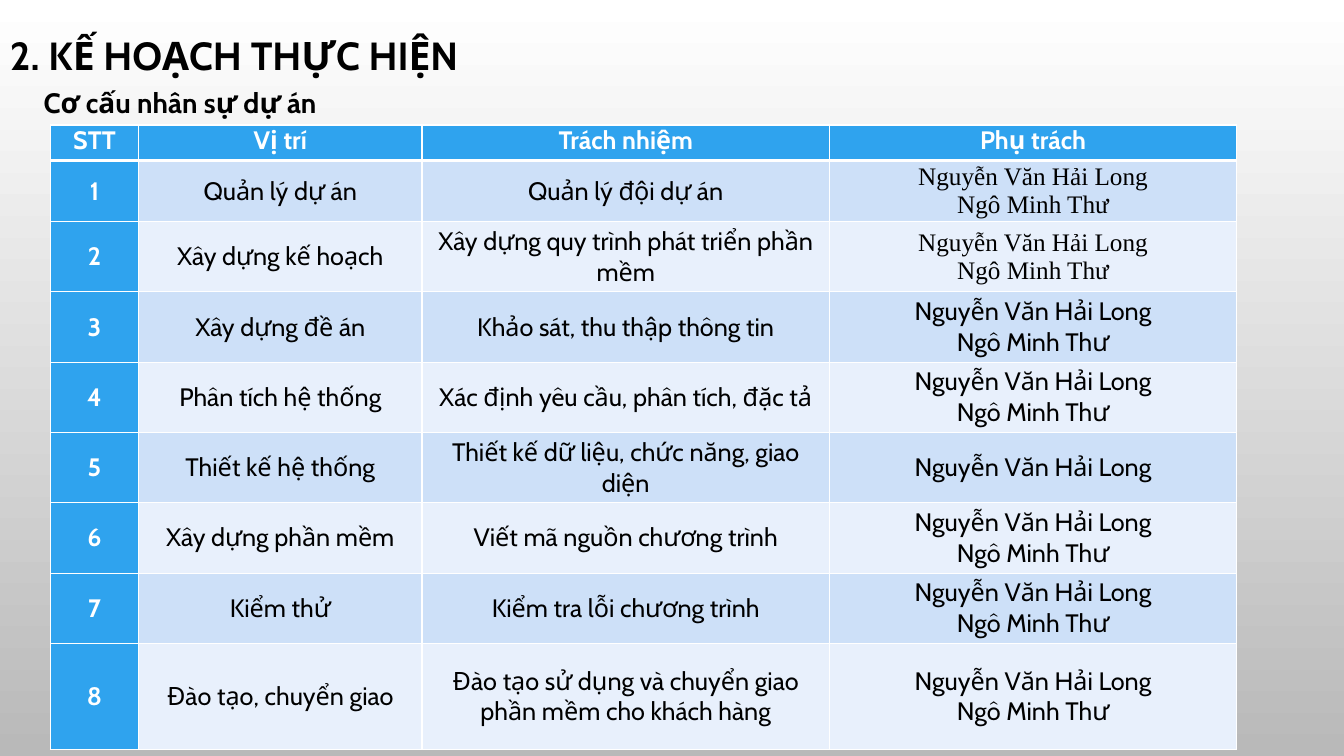
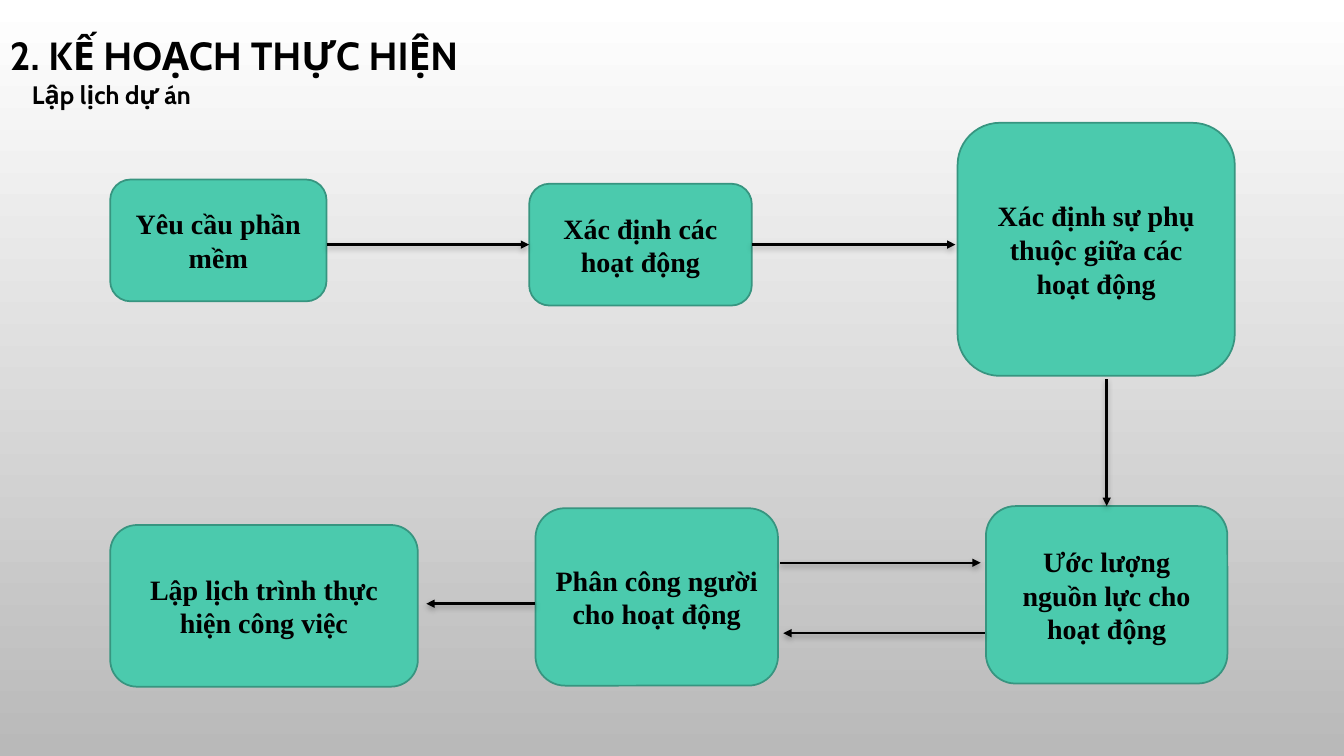
from dataclasses import dataclass

from lxml import etree
from pptx import Presentation
from pptx.dml.color import RGBColor as Rgb
from pptx.enum.shapes import MSO_CONNECTOR as Conn, MSO_SHAPE as Shp
from pptx.enum.text import MSO_ANCHOR as Anchor, MSO_AUTO_SIZE as Auto, PP_ALIGN as Align
from pptx.oxml import parse_xml
from pptx.oxml.ns import nsdecls, qn
from pptx.util import Pt

PX = 9525
TOP, LEFT, BOTTOM, RIGHT = range(4)


@dataclass(frozen=True)
class Theme:
    sans: str = "Cabin"
    serif: str = "Times New Roman"
    ink: str = "000000"
    white: str = "FFFFFF"
    gray: str = "B9B9B9"
    blue: str = "2FA3EE"
    bands: tuple = ("CDE0F8", "E8F0FC")
    green: str = "4BCAAD"
    edge: str = "379580"
    title: int = 28
    step: int = 20
    cell: int = 18


T = Theme()
TITLE = "2. KẾ HOẠCH THỰC HIỆN"

# Subtitle: text, box, type size
STAFF = ("Cơ cấu nhân sự dự án", (32, 77, 1071, 42), 20)
PLAN = ("Lập lịch dự án", (21, 71, 1071, 38), 18)

LEAD = "Nguyễn Văn Hải Long"
PAIR = LEAD + "\nNgô Minh Thư"
HEAD = ("STT", "Vị trí", "Trách nhiệm", "Phụ trách")
ROLES = [
    ("Quản lý dự án", "Quản lý đội dự án", PAIR),
    ("Xây dựng kế hoạch", "Xây dựng quy trình phát triển phần mềm", PAIR),
    ("Xây dựng đề án", "Khảo sát, thu thập thông tin", PAIR),
    ("Phân tích hệ thống", "Xác định yêu cầu, phân tích, đặc tả", PAIR),
    ("Thiết kế hệ thống", "Thiết kế dữ liệu, chức năng, giao diện", LEAD),
    ("Xây dựng phần mềm", "Viết mã nguồn chương trình", PAIR),
    ("Kiểm thử", "Kiểm tra lỗi chương trình", PAIR),
    ("Đào tạo, chuyển giao", "Đào tạo sử dụng và chuyển giao phần mềm cho khách hàng", PAIR),
]
SERIF_ROWS = (1, 2)
COLS = (84, 270, 388, 388)
ROWS = (34, 58) + (67,) * 6 + (101,)

STEPS = {
    "need": ("Yêu cầu phần mềm", (105, 171, 206, 116)),
    "tasks": ("Xác định các hoạt động", (504, 175, 212, 116)),
    "order": ("Xác định sự phụ thuộc giữa các hoạt động", (912, 117, 264, 241)),
    "effort": ("Ước lượng nguồn lực cho hoạt động", (939, 482, 230, 169)),
    "assign": ("Phân công người cho hoạt động", (510, 484, 231, 169)),
    "dates": ("Lập lịch trình thực hiện công việc", (105, 500, 293, 154)),
}
# Each end is a point, or a step and one of its sides
LINKS = [
    ((311, 233), ("tasks", LEFT)),
    (("tasks", RIGHT), (910, 233)),
    ((1054, 361), ("effort", TOP)),
    ((743, 536), (934, 536)),
    ((938, 603), (746, 603)),
    ((510, 575), (406, 575)),
]


def px(*nums):
    return [n * PX for n in nums]


def write(frame, text, size, color, bold=True, face=T.sans, align=None):
    frame.text = text
    for para in frame.paragraphs:
        para.alignment = align
        for run in para.runs:
            font = run.font
            font.name, font.size, font.bold = face, Pt(size), bold
            font.color.rgb = Rgb.from_string(color)


def label(slide, text, box, size):
    frame = slide.shapes.add_textbox(*px(*box)).text_frame
    frame.word_wrap = True
    write(frame, text, size, T.ink)
    return frame


def start(deck, sub):
    """Add a slide with the shared background, title and subtitle."""
    slide = deck.slides.add_slide(deck.slide_layouts[6])
    fill = slide.background.fill
    fill.gradient()
    fill.gradient_angle = 270
    for stop, pos, color in zip(fill.gradient_stops, (0, 1), (T.white, T.gray)):
        stop.position = pos
        stop.color.rgb = Rgb.from_string(color)
    head = label(slide, TITLE, (0, 0, 1008, 110), T.title)
    head.vertical_anchor = Anchor.MIDDLE
    head.paragraphs[0].line_spacing = 0.9
    label(slide, *sub).auto_size = Auto.SHAPE_TO_FIT_TEXT
    return slide


def border(cell, row):
    thick = {(0, "B"), (1, "T")}
    for side in "LRTB":
        width = Pt(3 if (row, side) in thick else 1)
        cell._tc.get_or_add_tcPr().append(parse_xml(
            f'<a:ln{side} {nsdecls("a")} w="{width}"><a:solidFill>'
            f'<a:srgbClr val="{T.white}"/></a:solidFill></a:ln{side}>'))


def staff(deck):
    slide = start(deck, STAFF)
    grid = slide.shapes.add_table(
        len(ROWS), len(COLS), *px(48, 119, sum(COLS), sum(ROWS))).table
    for col, wide in zip(grid.columns, COLS):
        col.width = wide * PX
    for row, high in zip(grid.rows, ROWS):
        row.height = high * PX
    data = [HEAD] + [(str(n), *role) for n, role in enumerate(ROLES, 1)]
    for r, line in enumerate(data):
        for c, text in enumerate(line):
            cell = grid.cell(r, c)
            key = r == 0 or c == 0
            face = T.serif if c == 3 and r in SERIF_ROWS else T.sans
            write(cell.text_frame, text, T.cell, T.white if key else T.ink,
                  key, face, Align.CENTER)
            cell.margin_left = cell.margin_right = 7 * PX
            cell.margin_top = cell.margin_bottom = 0
            cell.vertical_anchor = Anchor.MIDDLE if r else Anchor.TOP
            border(cell, r)
            cell.fill.solid()
            cell.fill.fore_color.rgb = Rgb.from_string(
                T.blue if key else T.bands[(r - 1) % 2])


def block(slide, text, box):
    shape = slide.shapes.add_shape(Shp.ROUNDED_RECTANGLE, *px(*box))
    shape.shadow.inherit = False
    shape.fill.solid()
    shape.fill.fore_color.rgb = Rgb.from_string(T.green)
    shape.line.color.rgb = Rgb.from_string(T.edge)
    shape.line.width = Pt(1.25)
    shape.text_frame.vertical_anchor = Anchor.MIDDLE
    write(shape.text_frame, text, T.step, T.ink, face=T.serif, align=Align.CENTER)
    return shape


def arrow(slide, blocks, tail, tip):
    ends = [(0, 0) if end[0] in blocks else end for end in (tail, tip)]
    link = slide.shapes.add_connector(Conn.STRAIGHT, *px(*ends[0], *ends[1]))
    for end, join in ((tail, link.begin_connect), (tip, link.end_connect)):
        if end[0] in blocks:
            join(blocks[end[0]], end[1])
    link.line.color.rgb = Rgb.from_string(T.ink)
    link.line.width = Pt(1.75)
    etree.SubElement(link.line._get_or_add_ln(), qn("a:tailEnd"), type="triangle")
    link._element.spPr.append(parse_xml(
        f'<a:effectLst {nsdecls("a")}><a:outerShdw blurRad="{Pt(4)}" dist="{Pt(2)}" '
        f'dir="5400000" rotWithShape="0"><a:srgbClr val="{T.ink}">'
        '<a:alpha val="28000"/></a:srgbClr></a:outerShdw></a:effectLst>'))


def plan(deck):
    slide = start(deck, PLAN)
    blocks = {key: block(slide, *step) for key, step in STEPS.items()}
    for tail, tip in LINKS:
        arrow(slide, blocks, tail, tip)


def main():
    deck = Presentation()
    deck.slide_width, deck.slide_height = px(1280, 720)
    staff(deck)
    plan(deck)
    deck.save("out.pptx")


if __name__ == "__main__":
    main()
